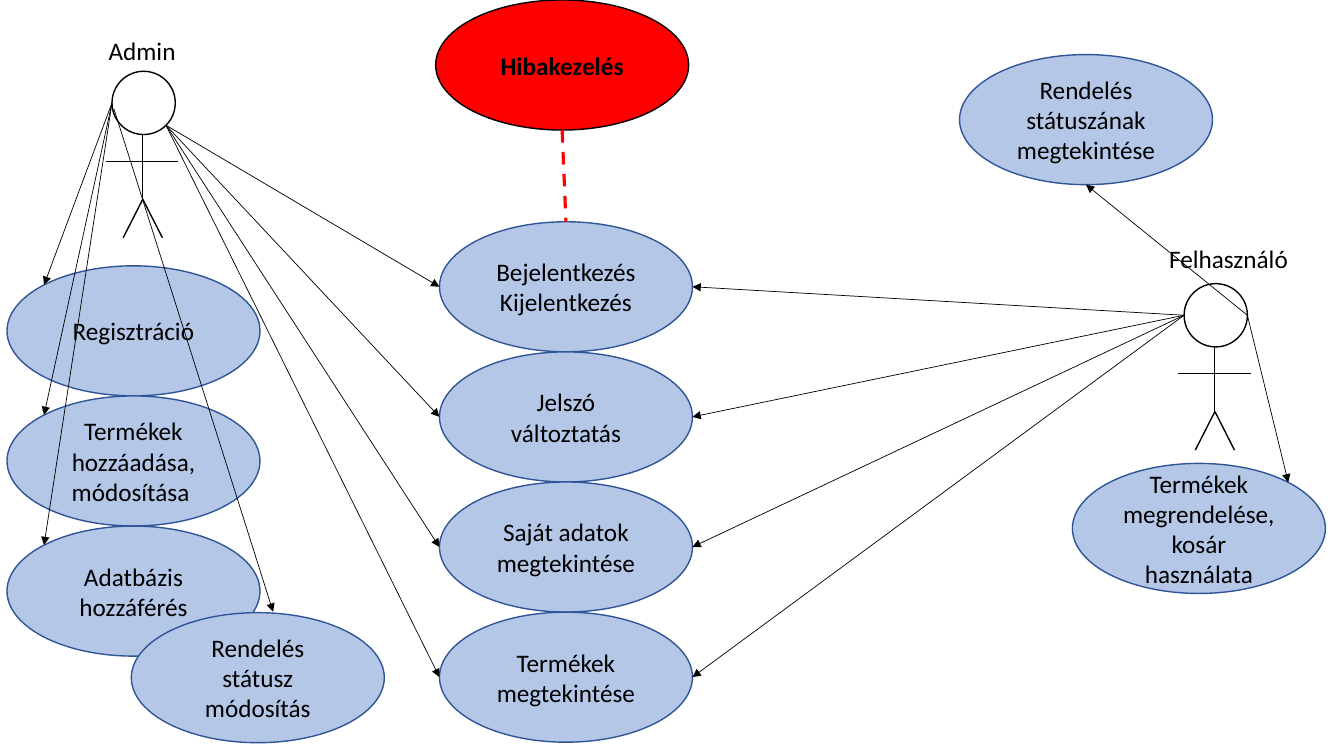
import math
from dataclasses import dataclass

import lxml.etree
import pptx
import pptx.dml.color
import pptx.enum.dml
import pptx.enum.shapes
import pptx.enum.text
import pptx.oxml.ns
import pptx.util

Pt = pptx.util.Pt
RGB = pptx.dml.color.RGBColor.from_string


@dataclass(frozen=True)
class Theme:
    font: str = "Calibri"
    size: float = 18
    ink: str = "000000"
    paper: str = "FFFFFF"
    case_fill: str = "B4C7E7"
    case_line: str = "2F5597"
    error: str = "FF0000"
    outline: float = 1
    link: float = 0.5
    dash: float = 2.25


THEME = Theme()

CASE_W, CASE_H = 180.7, 92.9
HEAD = 45.2
ADMIN_X, SHARED_X = 5, 313.9
ADMIN_TOP, SHARED_TOP, STEP = 189.9, 158.4, 92.95

ADMIN_CASES = [
    ("register", "Regisztráció"),
    ("products", "Termékek hozzáadása, módosítása "),
    ("database", "Adatbázis hozzáférés"),
]
SHARED_CASES = [
    ("login", "Bejelentkezés\nKijelentkezés"),
    ("password", "Jelszó változtatás"),
    ("profile", "Saját adatok megtekintése"),
    ("browse", "Termékek megtekintése"),
]
SINGLE_CASES = [
    ("order", "Termékek megrendelése, kosár használata", 766, 331),
    ("edit_status", "Rendelés státusz módosítás", 93.8, 437.6),
    ("view_status", "Rendelés státuszának megtekintése", 685.4, 39),
]
ERROR_CASE = ("error", "Hibakezelés", 311.2, 0)

ACTORS = [
    ("admin", "Admin", (80, 50.9), (70.5, 21.6, 62.6, 29)),
    ("user", "Felhasználó", (845.8, 202.6), (828, 169.9, 100, 29)),
]
LIMBS = [
    ((21.9, 45.2), (21.9, 91.6)),
    ((-4.3, 64.3), (47.5, 64.3)),
    ((22, 91.4), (36, 118.9)),
    ((22, 91.4), (8, 118.9)),
]

ANGLES = {"right": 0, "lower right": 45, "bottom": 90, "left": 180,
          "upper left": 225, "top": 270, "upper right": 315}
LINKS = [("admin", "left", name, "upper left") for name, _ in ADMIN_CASES]
for name, _ in SHARED_CASES:
    LINKS.append(("admin", "lower right", name, "left"))
    LINKS.append(("user", "left", name, "right"))
LINKS += [
    ("user", "right", "order", "upper right"),
    ("user", "right", "view_status", "bottom"),
]
STATUS_LINK = ((81.4, 77.8), (195.1, 437))


def add_ellipse(shapes, x, y, w, h, fill, line):
    s = shapes.add_shape(pptx.enum.shapes.MSO_SHAPE.OVAL, Pt(x), Pt(y), Pt(w), Pt(h))
    s.shadow.inherit = False
    s.fill.solid()
    s.fill.fore_color.rgb = RGB(fill)
    s.line.color.rgb = RGB(line)
    s.line.width = Pt(THEME.outline)
    return s


def add_line(shapes, start, end, width, color=THEME.ink, arrow=False):
    c = shapes.add_connector(pptx.enum.shapes.MSO_CONNECTOR.STRAIGHT,
                             *(Pt(v) for v in start + end))
    c.line.color.rgb = RGB(color)
    c.line.width = Pt(width)
    qn = pptx.oxml.ns.qn
    if arrow:
        lxml.etree.SubElement(c.line._get_or_add_ln(), qn("a:tailEnd"), type="triangle")
    lxml.etree.SubElement(c._element.spPr, qn("a:effectLst"))
    return c


def write(p, text, bold=False):
    for i, line in enumerate(text.split("\n")):
        if i:
            p.add_line_break()
        r = p.add_run()
        r.text = line
        r.font.name = THEME.font
        r.font.size = Pt(THEME.size)
        r.font.bold = bold
        r.font.color.rgb = RGB(THEME.ink)


def add_case(shapes, text, x, y, fill=THEME.case_fill, line=THEME.case_line, bold=False):
    tf = add_ellipse(shapes, x, y, CASE_W, CASE_H, fill, line).text_frame
    tf.word_wrap = True
    tf.vertical_anchor = pptx.enum.text.MSO_ANCHOR.MIDDLE
    p = tf.paragraphs[0]
    p.alignment = pptx.enum.text.PP_ALIGN.CENTER
    write(p, text, bold)
    return x, y, CASE_W, CASE_H


def add_actor(shapes, label, head, label_box):
    x, y = head
    figure = shapes.add_group_shape().shapes
    add_ellipse(figure, x, y, HEAD, HEAD, THEME.paper, THEME.ink)
    for (x1, y1), (x2, y2) in LIMBS:
        add_line(figure, (x + x1, y + y1), (x + x2, y + y2), THEME.outline)
    tf = shapes.add_textbox(*(Pt(v) for v in label_box)).text_frame
    tf.word_wrap = False
    tf.auto_size = pptx.enum.text.MSO_AUTO_SIZE.SHAPE_TO_FIT_TEXT
    write(tf.paragraphs[0], label)
    return x, y, HEAD, HEAD


def edge(box, side):
    x, y, w, h = box
    angle = math.radians(ANGLES[side])
    return x + w / 2 * (1 + math.cos(angle)), y + h / 2 * (1 + math.sin(angle))


def main():
    prs = pptx.Presentation()
    prs.slide_width, prs.slide_height = Pt(960), Pt(540)
    shapes = prs.slides.add_slide(prs.slide_layouts[6]).shapes

    boxes = {}
    for name, label, head, label_box in ACTORS:
        boxes[name] = add_actor(shapes, label, head, label_box)
    for x, top, cases in ((ADMIN_X, ADMIN_TOP, ADMIN_CASES),
                          (SHARED_X, SHARED_TOP, SHARED_CASES)):
        for i, (name, text) in enumerate(cases):
            boxes[name] = add_case(shapes, text, x, top + i * STEP)
    for name, text, x, y in SINGLE_CASES:
        boxes[name] = add_case(shapes, text, x, y)
    name, text, x, y = ERROR_CASE
    boxes[name] = add_case(shapes, text, x, y, THEME.error, THEME.ink, True)

    for actor, start, case, end in LINKS:
        add_line(shapes, edge(boxes[actor], start), edge(boxes[case], end),
                 THEME.link, arrow=True)
    add_line(shapes, *STATUS_LINK, THEME.link, arrow=True)
    c = add_line(shapes, edge(boxes["error"], "bottom"), edge(boxes["login"], "top"),
                 THEME.dash, THEME.error)
    c.line.dash_style = pptx.enum.dml.MSO_LINE.DASH

    prs.save("out.pptx")


if __name__ == "__main__":
    main()
